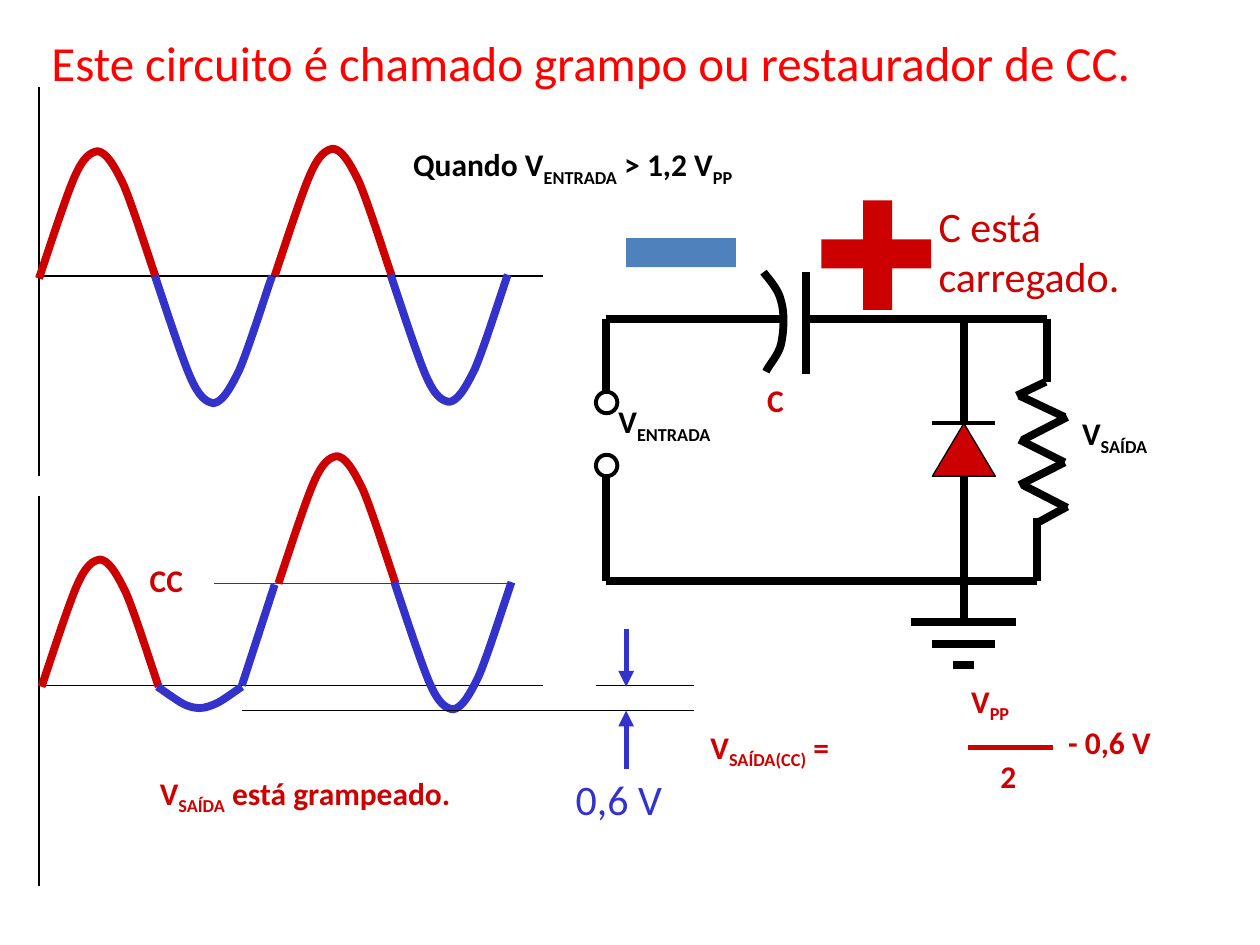
from dataclasses import dataclass
from itertools import pairwise

from lxml.etree import SubElement
from pptx import Presentation
from pptx.dml.color import RGBColor as Color
from pptx.enum.shapes import MSO_CONNECTOR as Link, MSO_SHAPE as Shape
from pptx.enum.text import MSO_ANCHOR as Anchor
from pptx.oxml.ns import qn
from pptx.util import Inches, Pt


@dataclass(frozen=True)
class Theme:
    font: str = "Calibri"
    black: str = "000000"
    red: str = "CC0000"
    title_red: str = "FF0000"
    blue: str = "3333CC"
    steel: str = "4F81BD"
    title: int = 28
    note: int = 24
    label: int = 18
    thin: float = 0.75
    medium: float = 2.25
    arrow: float = 3
    wire: float = 4.5


THEME = Theme()

# Half wave from right to left, as fractions of width and rise: four cubic curves
HALF_WAVE = [(1, 0), (0.95, 0.13), (0.8, 0.57), (0.72, 0.74), (0.63, 0.91), (0.57, 0.99),
             (0.5, 1), (0.44, 0.99), (0.38, 0.96), (0.3, 0.79), (0.22, 0.62), (0.06, 0.16), (0, 0)]
CURVED_PLATE = [(6.06, 2.16), (6.08, 2.19), (6.18, 2.29), (6.2, 2.39), (6.23, 2.49),
                (6.22, 2.64), (6.2, 2.73), (6.18, 2.82), (6.1, 2.9), (6.08, 2.95)]


class CircuitPage:
    def __init__(self, page, theme):
        self.shapes = page.shapes
        self.theme = theme

    def line(self, start, end, color=THEME.black, width=THEME.wire, arrow=False):
        link = self.shapes.add_connector(Link.STRAIGHT, *map(Inches, (*start, *end)))
        link.line.color.rgb = Color.from_string(color)
        link.line.width = Pt(width)
        if arrow:
            SubElement(link.line._get_or_add_ln(), qn("a:tailEnd"), type="triangle")
        SubElement(link._element.spPr, qn("a:effectLst"))

    def path_line(self, *points):
        for start, end in pairwise(points):
            self.line(start, end)

    def outline(self, points, color=THEME.black):
        """Open outline with straight sides."""
        points = [(Inches(x), Inches(y)) for x, y in points]
        builder = self.shapes.build_freeform(*points[0])
        builder.add_line_segments(points[1:], close=False)
        shape = builder.convert_to_shape()
        self.style(shape, None, color, self.theme.wire)
        return shape

    def curve(self, points, color=THEME.black):
        """Open outline whose points chain cubic curves, three points to each."""
        shape = self.outline(points, color)
        track = next(shape._element.iter(qn("a:path")))
        sides = track.findall(qn("a:lnTo"))
        for first in range(0, len(sides), 3):
            cubic = SubElement(track, qn("a:cubicBezTo"))
            for side in sides[first:first + 3]:
                cubic.append(side[0])
                track.remove(side)

    def half_wave(self, left, base, rise, width=0.93):
        color = self.theme.red if rise > 0 else self.theme.blue
        self.curve([(left + width * x, base - rise * y) for x, y in HALF_WAVE], color)

    def shape(self, kind, box, fill=None, outline=None, width=0.75, rotation=0):
        shape = self.shapes.add_shape(kind, *map(Inches, box))
        shape.rotation = rotation
        self.style(shape, fill, outline, width)

    def style(self, shape, fill, outline, width):
        shape.shadow.inherit = False
        if fill:
            shape.fill.solid()
            shape.fill.fore_color.rgb = Color.from_string(fill)
        else:
            shape.fill.background()
        if outline:
            shape.line.color.rgb = Color.from_string(outline)
            shape.line.width = Pt(width)
        else:
            shape.line.fill.background()

    def text(self, words, box, color=THEME.red, size=THEME.label, bold=True,
             anchor=Anchor.MIDDLE):
        """Write words; every second part between bars is a subscript."""
        frame = self.shapes.add_textbox(*map(Inches, box)).text_frame
        frame.word_wrap = True
        frame.vertical_anchor = anchor
        para = frame.paragraphs[0]
        for index, part in enumerate(words.split("|")):
            span = para.add_run()
            span.text = part
            span.font.name = self.theme.font
            span.font.size = Pt(size)
            span.font.bold = bold
            span.font.color.rgb = Color.from_string(color)
            if index % 2:
                span._r.get_or_add_rPr().set("baseline", "-25000")


def draw_axes(page, top, base):
    page.line((0.31, base), (4.31, base), width=THEME.thin)
    page.line((0.31, top), (0.31, top + 3.09), width=THEME.thin)


def draw_circuit(page):
    # Resistor
    for start, end in (((8.45, 3.67), (8.09, 3.85)), ((8.47, 3.31), (8.12, 3.49)),
                       ((8.09, 3.49), (8.45, 3.67)), ((8.09, 3.14), (8.45, 3.31)),
                       ((8.12, 3.85), (8.47, 4.03))):
        page.line(start, end)
    page.outline([(8.3, 3.03), (8.07, 3.14)])
    page.outline([(8.47, 4.02), (8.25, 4.14)])

    # Diode
    page.line((7.4, 3.36), (7.9, 3.36), width=THEME.medium)
    page.shape(Shape.ISOSCELES_TRIANGLE, (7.4, 3.36, 0.5, 0.42), THEME.red, THEME.black)

    # Output graph axes
    draw_axes(page, 3.94, 5.44)

    # Wires and ground
    page.path_line((6.4, 2.53), (8.31, 2.53), (8.31, 3.03))
    for y, left, right in ((4.94, 7.23, 8.06), (5.11, 7.4, 7.9), (5.28, 7.56, 7.73)):
        page.line((left, y), (right, y))
    page.path_line((8.23, 4.11), (8.23, 4.61), (4.81, 4.61), (4.81, 3.78))
    page.line((4.81, 2.53), (4.81, 3.11))

    # Input terminals
    for top in (3.61, 3.11):
        page.shape(Shape.OVAL, (4.73, top, 0.17, 0.17), outline=THEME.black, width=THEME.medium)

    # Diode wires
    page.line((7.65, 3.36), (7.65, 2.53))
    page.line((7.65, 3.78), (7.65, 4.94))

    # Circuit labels and title
    for words, box in (("V|ENTRADA", (4.81, 3.14, 1.78, 0.57)),
                       ("V|SAÍDA", (8.49, 3.24, 1.3, 0.57)),
                       ("Quando V|ENTRADA| > 1,2 V|PP", (3.18, 1.1, 4.82, 0.57))):
        page.text(words, box, THEME.black, anchor=Anchor.TOP)
    page.text("Este circuito é chamado grampo ou restaurador de CC.", (0.31, 0.21, 8.86, 0.57),
              THEME.title_red, THEME.title, bold=False)

    # Capacitor
    page.line((6.4, 2.16), (6.4, 2.97))
    page.curve(CURVED_PLATE)
    page.line((6.23, 2.53), (4.81, 2.53))


def draw_waves(page):
    # Input wave
    for left, base, rise in ((0.31, 2.21, 1.01), (1.23, 2.19, -1.01),
                             (2.18, 2.19, 1.01), (3.1, 2.18, -1.01)):
        page.half_wave(left, base, rise)

    # Clamped output wave
    page.half_wave(0.33, 5.45, 1.01)
    page.half_wave(1.25, 5.45, -0.17, width=0.67)
    page.half_wave(2.21, 4.63, 1.01)
    page.half_wave(3.13, 4.62, -1.01)
    page.line((1.92, 5.44), (2.18, 4.64), THEME.blue)

    # Gap of 0,6 V
    page.line((4.73, 5.44), (5.51, 5.44), width=THEME.thin)
    page.line((1.92, 5.64), (5.51, 5.64), width=THEME.thin)
    for start, end in ((6.1, 5.64), (4.99, 5.45)):
        page.line((4.97, start), (4.97, end), THEME.blue, THEME.arrow, arrow=True)
    page.text("0,6 V", (4.47, 6.08, 0.94, 0.51), THEME.blue, THEME.note, bold=False)

    # Direct-current level
    page.text("V|SAÍDA| está grampeado.", (1.17, 6.09, 4.16, 0.57), anchor=Anchor.TOP)
    page.line((1.7, 4.63), (4.09, 4.63), THEME.red, THEME.thin)
    page.text("CC", (1.09, 4.34, 0.76, 0.52))


def draw_charge_and_formula(page):
    # Charge signs
    page.shape(Shape.RECTANGLE, (6.52, 1.9, 0.87, 0.23), THEME.red)
    page.shape(Shape.RECTANGLE, (6.53, 1.91, 0.87, 0.23), THEME.red, rotation=90)
    page.shape(Shape.RECTANGLE, (4.97, 1.89, 0.87, 0.23), THEME.steel)
    page.text("C está carregado.", (7.35, 1.76, 2.45, 0.46), size=THEME.note, bold=False)
    page.text("C", (5.99, 2.91, 0.48, 0.52))

    # Output formula
    page.text("2", (7.84, 5.9, 0.39, 0.52))
    page.text("V|SAÍDA(CC)| =", (5.54, 5.66, 2.18, 0.57))
    page.text("V|PP", (7.61, 5.32, 0.8, 0.52))
    page.text("- 0,6 V", (8.38, 5.6, 1.3, 0.57))
    page.line((7.68, 5.93), (8.36, 5.93), THEME.red, THEME.arrow)


def main():
    deck = Presentation()
    deck.slide_width, deck.slide_height = Inches(10), Inches(7.5)
    page = CircuitPage(deck.slides.add_slide(deck.slide_layouts[6]), THEME)
    draw_axes(page, 0.69, 2.19)
    draw_circuit(page)
    draw_waves(page)
    draw_charge_and_formula(page)
    deck.save("out.pptx")


if __name__ == "__main__":
    main()
